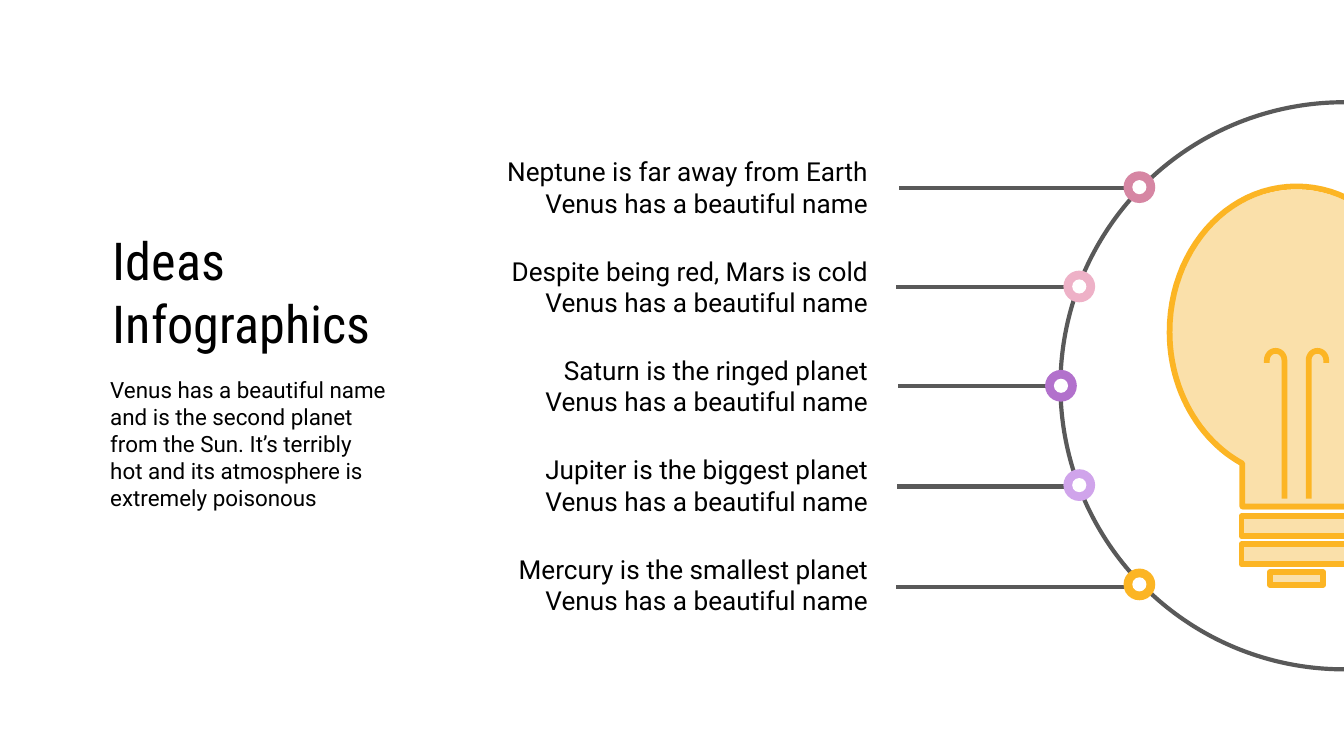
"""Build the Ideas Infographics slide: five planet facts around a light bulb."""
from dataclasses import dataclass

from lxml import etree
from pptx import Presentation
from pptx import util as u
from pptx.dml.color import RGBColor
from pptx.enum import shapes, text
from pptx.oxml import ns

Point = tuple[float, float]
GREY, AMBER, CREAM, WHITE, BLACK = "595959", "FCB524", "FAE0AA", "FFFFFF", "000000"
AXIS = 694.6
MIDDLE = 206.7
ROW_PITCH = 53.2


@dataclass
class Fact:
    """One planet fact with its leader line and ring marker."""
    statement: str
    color: str
    marker_x: float
    leader_start: float
    leader_end: float
    leader_y: float


@dataclass
class BasePlate:
    """One plate of the bulb's screw base, centred on the bulb axis."""
    top: float
    width: float
    height: float


FACTS = [
    Fact("Neptune is far away from Earth", "D686A3", 610.4, 481.6, 602, 100.7),
    Fact("Despite being red, Mars is cold", "EEB1C7", 578.2, 480, 576.5, 153.7),
    Fact("Saturn is the ringed planet", "B271CC", 568.4, 481.2, 567, 206.7),
    Fact("Jupiter is the biggest planet", "D0A4EB", 578.2, 480.4, 576.5, 260.7),
    Fact("Mercury is the smallest planet", AMBER, 610.4, 480, 613.5, 314.5),
]
PLATES = [
    BasePlate(276.5, 59, 10.8),
    BasePlate(291.5, 59, 10.8),
    BasePlate(306.5, 28.6, 6.8),
]


def rgb(value: str) -> RGBColor:
    """Turn a hex string into a colour."""
    return RGBColor.from_string(value)


def paint(shape, fill: str = "", line: str = "", weight: float = 0) -> None:
    """Set fill and line, leaving out whichever has no colour."""
    shape.shadow.inherit = False
    if fill:
        shape.fill.solid()
        shape.fill.fore_color.rgb = rgb(fill)
    else:
        shape.fill.background()
    if line:
        shape.line.color.rgb = rgb(line)
        shape.line.width = u.Pt(weight)
    else:
        shape.line.fill.background()


def bezier(a: Point, b: Point, c: Point, d: Point, steps: int = 24) -> list[Point]:
    """Sample a cubic curve from a to d."""
    weights = [((1 - t) ** 3, 3 * t * (1 - t) ** 2, 3 * t * t * (1 - t), t ** 3)
               for t in (i / steps for i in range(steps + 1))]
    return [(sum(w * p[0] for w, p in zip(row, (a, b, c, d))),
             sum(w * p[1] for w, p in zip(row, (a, b, c, d)))) for row in weights]


def mirror(points: list[Point]) -> list[Point]:
    """Reflect points across the bulb axis."""
    return [(-x, y) for x, y in points]


def trace(slide, points: list[Point], top: float, close: bool):
    """Draw a freeform through points measured from the bulb axis and a top."""
    corners = [(u.Pt(AXIS + x), u.Pt(top + y)) for x, y in points]
    builder = slide.shapes.build_freeform(*corners[0])
    builder.add_line_segments(corners[1:], close=close)
    return builder.convert_to_shape()


def circle(slide, x: float, y: float, radius: float):
    """Add a circle around a centre."""
    return slide.shapes.add_shape(
        shapes.MSO_SHAPE.OVAL, u.Pt(x - radius), u.Pt(y - radius),
        u.Pt(2 * radius), u.Pt(2 * radius))


def write(box, wording: str, size: float, font: str, anchor, align) -> None:
    """Put one formatted run into a text shape."""
    frame = box.text_frame
    frame.word_wrap = True
    frame.auto_size = text.MSO_AUTO_SIZE.NONE
    frame.vertical_anchor = anchor
    frame.margin_left = frame.margin_right = u.Pt(7.2)
    frame.margin_top = frame.margin_bottom = u.Pt(7.2)
    paragraph = frame.paragraphs[0]
    paragraph.alignment = align
    run = paragraph.add_run()
    run.text = wording
    run.font.size = u.Pt(size)
    run.font.name = font
    run.font.color.rgb = rgb(BLACK)


def draw_leader(slide, fact: Fact) -> None:
    """Draw the line from a fact to its marker."""
    leader = slide.shapes.add_connector(
        shapes.MSO_CONNECTOR.STRAIGHT, u.Pt(fact.leader_end), u.Pt(fact.leader_y),
        u.Pt(fact.leader_start), u.Pt(fact.leader_y))
    leader.line.color.rgb = rgb(GREY)
    leader.line.width = u.Pt(2.25)
    etree.SubElement(leader._element.spPr, ns.qn("a:effectLst"))


def draw_bulb(slide) -> None:
    """Draw the bulb, its base and its filament."""
    half = (bezier((0, 0), (38, 0), (68, 35), (68, 78))
            + bezier((68, 78), (68, 109), (52, 136), (29, 148.5))[1:]
            + [(29, 171.5)])
    outline = half + mirror(half[:0:-1])
    paint(trace(slide, outline, 101.6, True), fill=CREAM)
    paint(trace(slide, outline, 99.9, True), line=AMBER, weight=3.09)
    for plate in PLATES:
        base = slide.shapes.add_shape(
            shapes.MSO_SHAPE.RECTANGLE, u.Pt(AXIS - plate.width / 2),
            u.Pt(plate.top), u.Pt(plate.width), u.Pt(plate.height))
        paint(base, CREAM, AMBER, 3.09)
    filament = ([(6.5, 79.2)]
                + bezier((6.5, 5), (6.5, 2.2), (8.6, 0), (11.2, 0), 8)
                + bezier((11.2, 0), (13.8, 0), (15.9, 2.2), (15.9, 5), 8)[1:]
                + [(15.9, 6.4)])
    for strand in (filament, mirror(filament)):
        paint(trace(slide, strand, 188, False), line=AMBER, weight=3.09)


def draw_fact(slide, fact: Fact, y: float) -> None:
    """Draw a fact's ring marker and its right-aligned wording."""
    paint(circle(slide, fact.marker_x, y, 8.5), fill=fact.color)
    paint(circle(slide, fact.marker_x, y, 3.8), fill=WHITE)
    label = slide.shapes.add_textbox(u.Pt(256.8), u.Pt(y - 14), u.Pt(215.4), u.Pt(28))
    write(label, f"{fact.statement} Venus has a beautiful name", 14, "Roboto",
          text.MSO_ANCHOR.MIDDLE, text.PP_ALIGN.RIGHT)


def main() -> None:
    """Assemble and save the slide."""
    deck = Presentation()
    deck.slide_width, deck.slide_height = u.Pt(720), u.Pt(405)
    slide = deck.slides.add_slide(deck.slide_layouts[5])

    for fact in FACTS:
        draw_leader(slide, fact)

    heading = slide.shapes.title
    heading.left, heading.top = u.Pt(53.3), u.Pt(122.4)
    heading.width, heading.height = u.Pt(162.7), u.Pt(67)
    write(heading, "Ideas Infographics", 28, "Roboto Condensed",
          text.MSO_ANCHOR.MIDDLE, text.PP_ALIGN.LEFT)

    draw_bulb(slide)
    paint(circle(slide, 720, MIDDLE, 151.9), line=GREY, weight=2.25)
    for row, fact in enumerate(FACTS):
        draw_fact(slide, fact, MIDDLE + (row - 2) * ROW_PITCH)

    summary = slide.shapes.add_textbox(u.Pt(52), u.Pt(194.4), u.Pt(162.7), u.Pt(87.8))
    write(summary, "Venus has a beautiful name and is the second planet from the Sun. "
          "It’s terribly hot and its atmosphere is extremely poisonous", 12, "Roboto",
          text.MSO_ANCHOR.TOP, text.PP_ALIGN.LEFT)
    deck.save("out.pptx")


if __name__ == "__main__":
    main()
